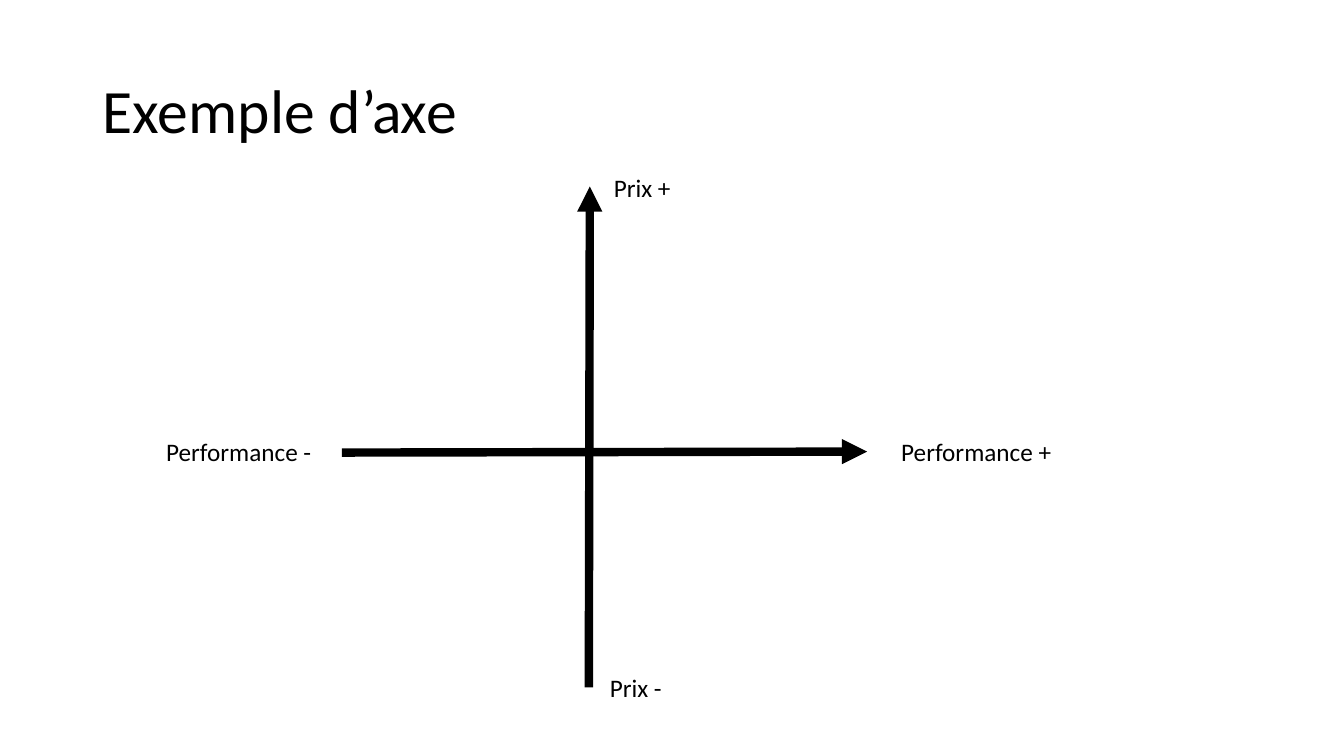
from pptx import Presentation
from pptx import util as u
from pptx.dml.color import RGBColor
from pptx.enum import shapes, text
from pptx.oxml.ns import qn
from lxml import etree

BLACK = RGBColor(0, 0, 0)
FONT = "Calibri"
LABEL_HEIGHT = 0.4

# Content, lengths in inches
TITLE = "Exemple d’axe"
AXES = [  # start, end
    ((5.84, 6.82), (5.85, 1.85)),
    ((3.39, 4.49), (8.6, 4.48)),
]
LABELS = [  # text, left, top, width
    ("Prix +", 5.99, 1.66, 0.83),
    ("Prix -", 5.95, 6.62, 0.84),
    ("Performance +", 8.84, 4.28, 1.71),
    ("Performance -", 1.55, 4.28, 1.66),
]

prs = Presentation()
prs.slide_width, prs.slide_height = u.Inches(13.33), u.Inches(7.5)
s = prs.slides.add_slide(prs.slide_layouts[5])


def write(tf, content, size):
    tf.text = content
    p = tf.paragraphs[0]
    p.alignment = text.PP_ALIGN.LEFT
    font = p.runs[0].font
    font.name, font.size, font.color.rgb = FONT, u.Pt(size), BLACK
    return p


# Title
title = s.shapes.title
title.left, title.top = u.Inches(0.92), u.Inches(0.4)
title.width, title.height = u.Inches(11.5), u.Inches(1.45)
title.text_frame.vertical_anchor = text.MSO_ANCHOR.MIDDLE
write(title.text_frame, TITLE, 44).line_spacing = 0.9

# Axes with arrowheads
for start, end in AXES:
    axis = s.shapes.add_connector(shapes.MSO_CONNECTOR.STRAIGHT,
                                  *map(u.Inches, start + end))
    axis.line.color.rgb = BLACK
    axis.line.width = u.Pt(6)
    etree.SubElement(axis.line._get_or_add_ln(), qn("a:tailEnd"), type="triangle")
    etree.SubElement(axis._element.spPr, qn("a:effectLst"))

# Axis end labels
for content, left, top, width in LABELS:
    label = s.shapes.add_textbox(*map(u.Inches, (left, top, width, LABEL_HEIGHT)))
    tf = label.text_frame
    tf.word_wrap = False
    tf.auto_size = text.MSO_AUTO_SIZE.SHAPE_TO_FIT_TEXT
    write(tf, content, 18)

prs.save("out.pptx")
